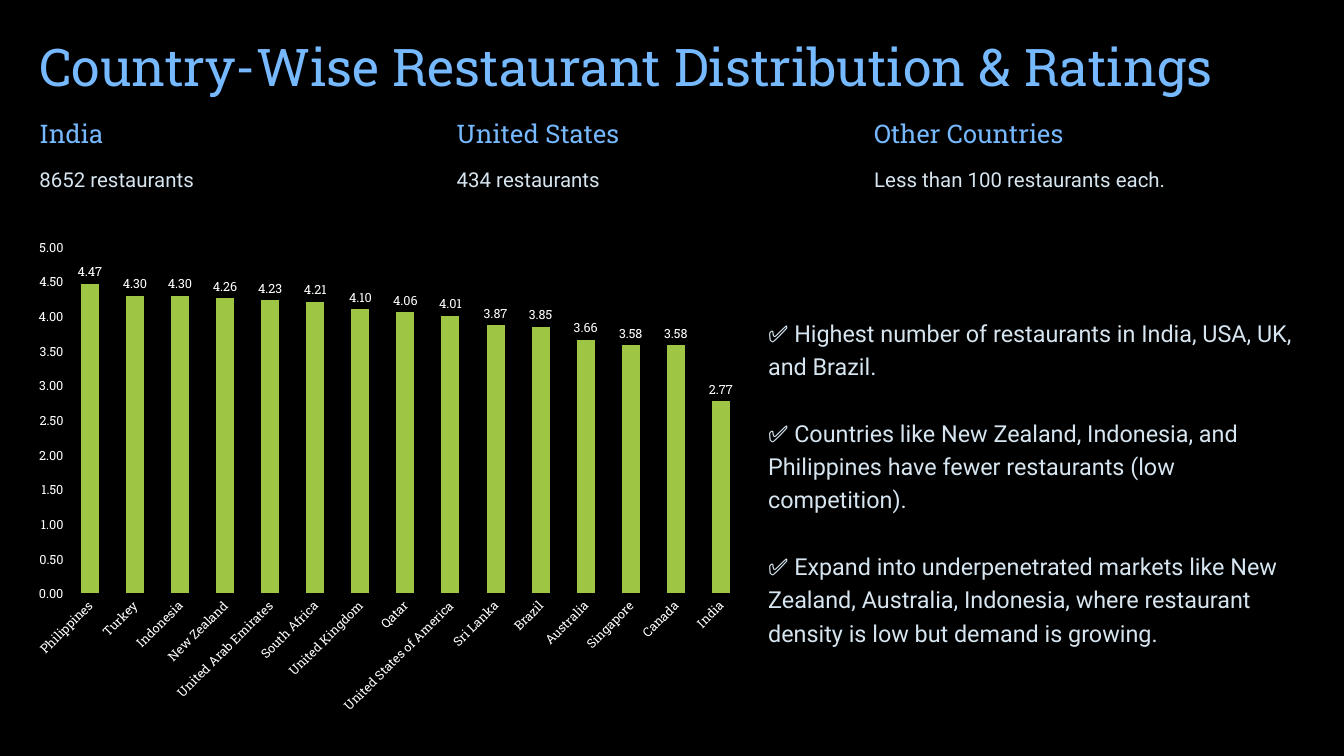
from dataclasses import dataclass

import pptx
import pptx.chart.data
import pptx.dml.color
import pptx.enum.chart
import pptx.util

Inches = pptx.util.Inches
Pt = pptx.util.Pt

COLORS = {
    "background": "000000",
    "heading": "76B9FF",
    "body": "D6E5EF",
    "bar": "9EC544",
    "chart_text": "FFFFFF",
}


@dataclass(frozen=True)
class TextStyle:
    font: str
    size: float
    line_height: float
    color: str


@dataclass(frozen=True)
class CountryFact:
    name: str
    count: str


TITLE = TextStyle("Roboto Slab", 37.1, 46.2, "heading")
SUBHEAD = TextStyle("Roboto Slab", 18.3, 22.9, "heading")
FACT = TextStyle("Roboto", 14.6, 23.8, "body")
NOTE = TextStyle("Roboto", 16.7, 23.8, "body")

MARGIN = 0.39
COLUMN_STEP = 4.14

FACTS = [
    CountryFact("India", "8652 restaurants"),
    CountryFact("United States", "434 restaurants"),
    CountryFact("Other Countries", "Less than 100 restaurants each."),
]

INSIGHTS = [
    "✅ Highest number of restaurants in India, USA, UK, and Brazil.",
    "✅ Countries like New Zealand, Indonesia, and Philippines have fewer "
    "restaurants (low competition).",
    "✅ Expand into underpenetrated markets like New Zealand, Australia, Indonesia, "
    "where restaurant density is low but demand is growing.",
]

RATINGS = {
    "Philippines": 4.47,
    "Turkey": 4.30,
    "Indonesia": 4.30,
    "New Zealand": 4.26,
    "United Arab Emirates": 4.23,
    "South Africa": 4.21,
    "United Kingdom": 4.10,
    "Qatar": 4.06,
    "United States of America": 4.01,
    "Sri Lanka": 3.87,
    "Brazil": 3.85,
    "Australia": 3.66,
    "Singapore": 3.58,
    "Canada": 3.58,
    "India": 2.77,
}


def rgb(name: str) -> pptx.dml.color.RGBColor:
    return pptx.dml.color.RGBColor.from_string(COLORS[name])


def set_font(font, name: str, size: float, color: str) -> None:
    font.name = name
    font.size = Pt(size)
    font.color.rgb = rgb(color)


def add_paragraphs(tf, texts: list[str], style: TextStyle, gap: float = 0) -> None:
    """Fill a text frame, leaving gap points between paragraphs."""
    for i, text in enumerate(texts):
        p = tf.add_paragraph() if i else tf.paragraphs[0]
        p.text = text
        p.line_spacing = Pt(style.line_height)
        p.space_before = Pt(gap if i else 0)
        set_font(p.font, style.font, style.size, style.color)


def add_label(s, left: float, top: float, width: float, height: float,
              text: str, style: TextStyle) -> None:
    """Add a single unwrapped line with no insets."""
    box = s.shapes.add_textbox(Inches(left), Inches(top), Inches(width), Inches(height))
    tf = box.text_frame
    tf.margin_left = tf.margin_right = tf.margin_top = tf.margin_bottom = 0
    tf.word_wrap = False
    add_paragraphs(tf, [text], style)


def add_insights(s) -> None:
    box = s.shapes.add_textbox(Inches(7.52), Inches(3.06), Inches(5.51), Inches(3.45))
    box.text_frame.word_wrap = True
    add_paragraphs(box.text_frame, INSIGHTS, NOTE, gap=NOTE.line_height)


def add_ratings_chart(s) -> None:
    data = pptx.chart.data.CategoryChartData(number_format="0.00")
    data.categories = list(RATINGS)
    data.add_series("Series 1", list(RATINGS.values()))
    chart = s.shapes.add_chart(
        pptx.enum.chart.XL_CHART_TYPE.COLUMN_CLUSTERED,
        Inches(0.21), Inches(2.27), Inches(7.31), Inches(4.91), data,
    ).chart
    chart.has_legend = False
    chart.has_title = False
    set_font(chart.font, "Roboto Slab", 10, "chart_text")

    for axis in (chart.category_axis, chart.value_axis):
        axis.has_major_gridlines = False
        axis.major_tick_mark = pptx.enum.chart.XL_TICK_MARK.NONE
        axis.minor_tick_mark = pptx.enum.chart.XL_TICK_MARK.NONE
        axis.format.line.fill.background()
        set_font(axis.tick_labels.font, "Roboto Slab", 9, "chart_text")
    for body in chart.category_axis._element.xpath("c:txPr/a:bodyPr"):
        body.set("rot", "-2700000")
    chart.value_axis.minimum_scale = 0
    chart.value_axis.maximum_scale = 5
    chart.value_axis.major_unit = 0.5
    chart.value_axis.tick_labels.number_format = "0.00"
    chart.value_axis.tick_labels.number_format_is_linked = False

    plot = chart.plots[0]
    plot.gap_width = 150
    plot.vary_by_categories = False
    bars = plot.series[0]
    bars.format.fill.solid()
    bars.format.fill.fore_color.rgb = rgb("bar")
    labels = bars.data_labels
    labels.show_value = True
    labels.position = pptx.enum.chart.XL_LABEL_POSITION.OUTSIDE_END
    labels.number_format = "0.00"
    labels.number_format_is_linked = False
    set_font(labels.font, "Roboto Slab", 9, "chart_text")


def main() -> None:
    prs = pptx.Presentation()
    prs.slide_width = Inches(13.33)
    prs.slide_height = Inches(7.5)
    s = prs.slides.add_slide(prs.slide_layouts[6])
    s.background.fill.solid()
    s.background.fill.fore_color.rgb = rgb("background")

    add_label(s, MARGIN, 0.32, 12, 0.65,
              "Country-Wise Restaurant Distribution & Ratings", TITLE)
    for i, fact in enumerate(FACTS):
        left = MARGIN + i * COLUMN_STEP
        add_label(s, left, 1.16, 2.58, 0.32, fact.name, SUBHEAD)
        add_label(s, left, 1.57, 3.63, 0.33, fact.count, FACT)
    add_insights(s)
    add_ratings_chart(s)
    prs.save("out.pptx")


if __name__ == "__main__":
    main()
